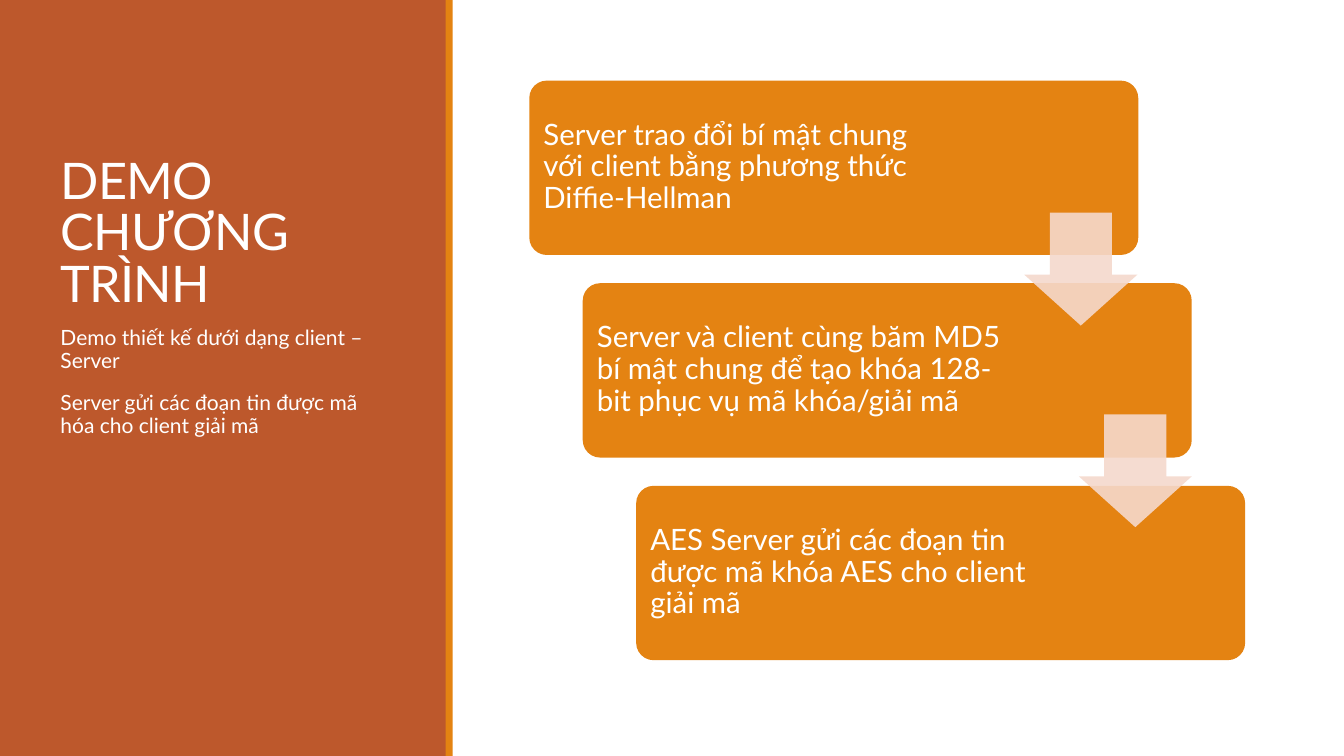
from lxml import etree
from pptx import Presentation
from pptx.dml.color import RGBColor
from pptx.enum.shapes import MSO_SHAPE
from pptx.enum.text import MSO_ANCHOR, MSO_AUTO_SIZE, PP_ALIGN
from pptx.oxml.ns import qn
from pptx.util import Inches, Pt

RECT = MSO_SHAPE.RECTANGLE
ROUND = MSO_SHAPE.ROUNDED_RECTANGLE
DOWN = MSO_SHAPE.DOWN_ARROW
TOP, MIDDLE, BOTTOM = MSO_ANCHOR.TOP, MSO_ANCHOR.MIDDLE, MSO_ANCHOR.BOTTOM
NO_FIT = MSO_AUTO_SIZE.NONE
LEFT = PP_ALIGN.LEFT

FONT = "Lato"
RUST, ORANGE, PEACH, WHITE = "BD582C", "E48312", "F5D9CC", "FFFFFF"

STEPS = [
    ("Server trao đổi bí mật chung với client bằng phương thức Diffie-Hellman", 4.17),
    ("Server và client cùng băm MD5 bí mật chung để tạo khóa 128-bit phục vụ mã khóa/giải mã", 4.28),
    ("AES Server gửi các đoạn tin được mã khóa AES cho client giải mã", 4.28),
]


def rgb(value):
    """Turn a hex string into a colour."""
    return RGBColor.from_string(value)


class Deck:
    """Hold the style and the current slide, and draw its elements."""

    def __init__(self):
        """Start a widescreen deck with one title and content slide."""
        self.prs = Presentation()
        self.prs.slide_width, self.prs.slide_height = Inches(13.33), Inches(7.5)
        self.s = self.prs.slides.add_slide(self.prs.slide_layouts[1])

    def shape(self, kind, x, y, w, h, color, adj=(), alpha=None):
        """Add a flat filled shape."""
        sp = self.s.shapes.add_shape(kind, Inches(x), Inches(y), Inches(w), Inches(h))
        sp.shadow.inherit = False
        sp.fill.solid()
        sp.fill.fore_color.rgb = rgb(color)
        sp.line.fill.background()
        for i, value in enumerate(adj):
            sp.adjustments[i] = value
        if alpha is not None:
            clr = next(sp.element.iter(qn("a:srgbClr")))
            etree.SubElement(clr, qn("a:alpha")).set("val", str(alpha * 1000))

    def fill_text(self, tf, text, size, spacing, anchor):
        """Fill a text frame with white left-aligned paragraphs."""
        tf.text = text
        tf.word_wrap = True
        tf.auto_size = NO_FIT
        tf.vertical_anchor = anchor
        for p in tf.paragraphs:
            p.alignment = LEFT
            p.line_spacing = spacing
            for r in p.runs:
                r.font.name = FONT
                r.font.size = Pt(size)
                r.font.color.rgb = rgb(WHITE)

    def label(self, text, x, y, w, h):
        """Add the text of a step."""
        tf = self.s.shapes.add_textbox(Inches(x), Inches(y), Inches(w), Inches(h)).text_frame
        tf.margin_left = tf.margin_right = tf.margin_top = tf.margin_bottom = Inches(0.09)
        self.fill_text(tf, text, 21, 0.9, MIDDLE)

    def placeholder(self, sp, x, y, w, h):
        """Move a placeholder into place and to the front."""
        sp.left, sp.top, sp.width, sp.height = Inches(x), Inches(y), Inches(w), Inches(h)
        sp.element.getparent().append(sp.element)
        return sp.text_frame

    def title(self, text, x, y, w, h):
        """Fill the title placeholder with slightly tightened text."""
        sp = self.s.shapes.title
        self.fill_text(self.placeholder(sp, x, y, w, h), text, 36, 0.85, BOTTOM)
        for rPr in sp.element.iter(qn("a:rPr")):
            rPr.set("spc", "-50")

    def body(self, lines, x, y, w, h):
        """Fill the body placeholder with paragraphs without bullets."""
        sp = self.s.placeholders[1]
        tf = self.placeholder(sp, x, y, w, h)
        self.fill_text(tf, "\n".join(lines), 15, 0.9, TOP)
        for p in tf.paragraphs:
            p.space_before, p.space_after = Pt(12), Pt(2)
        for pPr in sp.element.iter(qn("a:pPr")):
            pPr.set("marL", "0")
            pPr.set("indent", "0")
            etree.SubElement(pPr, qn("a:buNone"))


def main():
    """Build the slide and save it."""
    deck = Deck()
    deck.shape(RECT, 0, 0, 4.43, 7.5, RUST)
    deck.shape(RECT, 4.42, 0, 0.07, 7.5, ORANGE)
    deck.title("DEMO CHƯƠNG TRÌNH", 0.5, 0.65, 3.5, 2.5)
    for i, (text, width) in enumerate(STEPS):
        x, y = 5.25 + 0.53 * i, 0.8 + 2.01 * i
        deck.shape(ROUND, x, y, 6.04, 1.73, ORANGE, [0.1])
        deck.label(text, x + 0.05, y + 0.05, width, 1.62)
    for i in range(len(STEPS) - 1):
        deck.shape(DOWN, 10.16 + 0.54 * i, 2.11 + 2 * i, 1.12, 1.12, PEACH, [0.55, 0.45], 90)
    deck.body(
        ["Demo thiết kế dưới dạng client – Server",
         "Server gửi các đoạn tin được mã hóa cho client giải mã"],
        0.5, 3.2, 3.5, 3.7)
    deck.prs.save("out.pptx")


if __name__ == "__main__":
    main()
